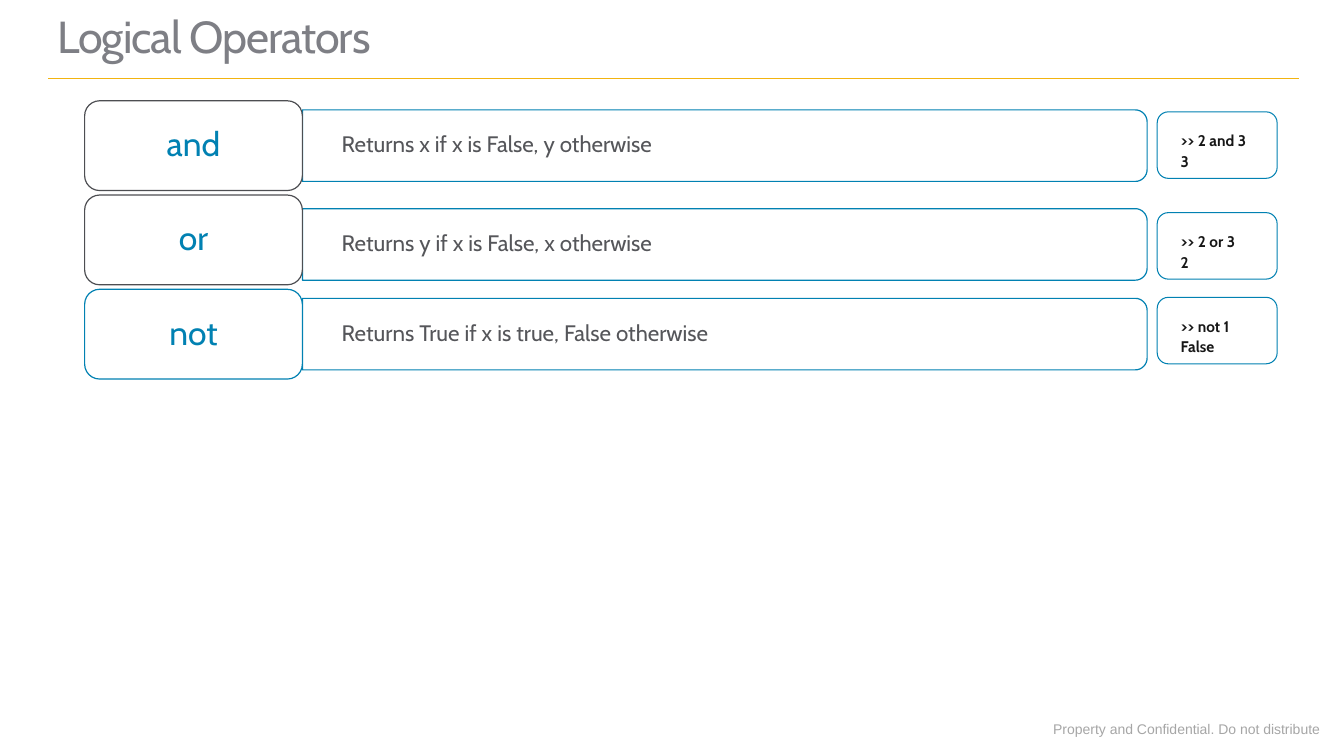
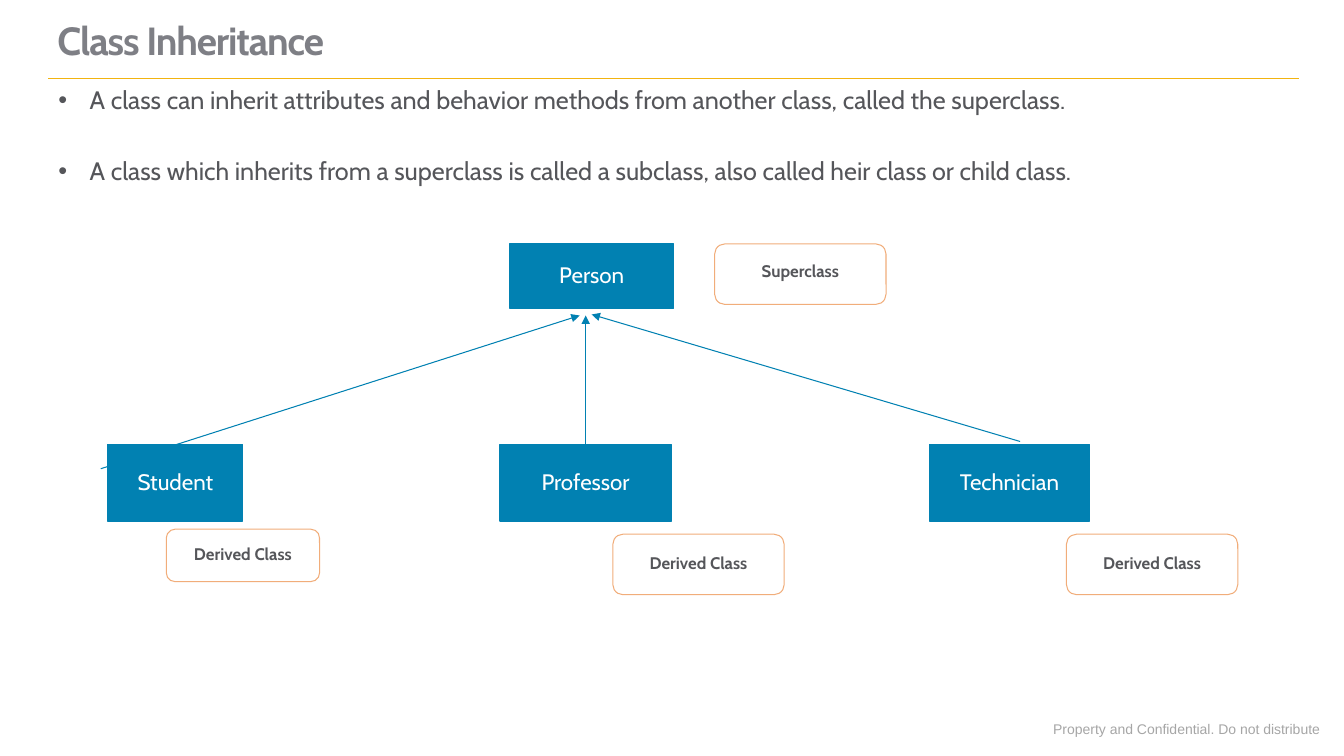
from dataclasses import dataclass
from math import cos, pi, sin

from lxml.etree import SubElement
from pptx import Presentation
from pptx.dml.color import RGBColor
from pptx.enum.shapes import MSO_CONNECTOR, MSO_SHAPE
from pptx.enum.text import MSO_ANCHOR, MSO_AUTO_SIZE, PP_ALIGN
from pptx.oxml.ns import qn
from pptx.util import Inches, Pt


@dataclass(frozen=True)
class Theme:
    """Colours, fonts and type sizes of the deck."""
    blue: str = "0181B2"
    gold: str = "F2B411"
    orange: str = "F1AD7A"
    white: str = "FFFFFF"
    dark: str = "4D4E52"
    ink: str = "171717"
    body: str = "55565A"
    heading: str = "7E7F85"
    faint: str = "A6A6A6"
    font: str = "Cabin"
    footer_font: str = "Arial"
    title_size: int = 32
    small_title_size: int = 28
    key_size: int = 24
    bullet_size: int = 18
    box_size: int = 16
    label_size: int = 12
    code_size: int = 11
    footer_size: int = 10
    thin: float = 0.75
    medium: float = 0.85


THEME = Theme()
COLUMNS, ROWS = 133.33, 75
FOOTER = "Property and Confidential. Do not distribute"


def cells(*counts):
    """Turn grid columns or rows, a tenth of an inch each, into lengths."""
    return [Inches(count / 10) for count in counts]


def colour(value):
    """Return the colour object of a hexadecimal value."""
    return RGBColor.from_string(value)


class Deck:
    """Hold the style and the current slide, and draw elements on it."""

    def __init__(self, theme):
        """Start an empty wide presentation."""
        self.theme = theme
        self.presentation = Presentation()
        width, height = cells(COLUMNS, ROWS)
        self.presentation.slide_width = width
        self.presentation.slide_height = height
        self.layout = self.presentation.slide_layouts[5]
        self.slide = None

    def add_slide(self, title, size, bold=False):
        """Add a titled slide, dressing the layout the first time."""
        first = self.slide is None
        self.slide = self.presentation.slides.add_slide(self.layout)
        if first:
            self.dress_layout()
        shape = self.slide.shapes.title
        shape.left, shape.top, shape.width, shape.height = cells(4.1, 0, 100, 7.3)
        self.frame(shape, (1.6, 1, 1.6, 1), MSO_ANCHOR.BOTTOM)
        run = self.add_text(shape, [title], size, self.theme.heading, bold)
        run.font._element.set("spc", "-80")

    def dress_layout(self):
        """Place the footer and the title rule on the shared layout."""
        footer = self.slide.shapes.add_textbox(*cells(103.5, 71, 28.7, 2.7))
        footer.text_frame.word_wrap = False
        footer.text_frame.auto_size = MSO_AUTO_SIZE.SHAPE_TO_FIT_TEXT
        self.add_text(footer, [FOOTER], self.theme.footer_size, self.theme.faint,
                      font=self.theme.footer_font, spacing=1)
        rule = self.line((4.8, 7.8), (128.9, 7.8), self.theme.gold)
        tree = self.layout.shapes.element
        for number, shape in enumerate((footer, rule), 101):
            shape.element.xpath(".//p:cNvPr")[0].set("id", str(number))
            tree.append(shape.element)

    def frame(self, shape, insets, anchor):
        """Set the margins and the anchor of a wrapping text frame."""
        text_frame = shape.text_frame
        text_frame.word_wrap = True
        text_frame.auto_size = MSO_AUTO_SIZE.NONE
        text_frame.vertical_anchor = anchor
        (text_frame.margin_left, text_frame.margin_top,
         text_frame.margin_right, text_frame.margin_bottom) = cells(*insets)

    def add_text(self, shape, lines, size, ink, bold=False, align=PP_ALIGN.LEFT,
                 font=None, spacing=0.9, after=0, bullet=False):
        """Add one paragraph per line and return the last run."""
        text_frame = shape.text_frame
        for index, line in enumerate(lines):
            paragraph = text_frame.add_paragraph() if index else text_frame.paragraphs[0]
            paragraph.alignment = align
            paragraph.line_spacing = spacing
            paragraph.space_before = Pt(0)
            paragraph.space_after = Pt(after)
            if bullet:
                properties = paragraph._p.get_or_add_pPr()
                properties.set("marL", str(Inches(0.31)))
                properties.set("indent", str(-Inches(0.31)))
                SubElement(properties, qn("a:buFont")).set("typeface", "Arial")
                SubElement(properties, qn("a:buChar")).set("char", "•")
            run = paragraph.add_run()
            run.text = line
            run.font.name = font or self.theme.font
            run.font.size = Pt(size)
            run.font.bold = bold
            run.font.color.rgb = colour(ink)
        return run

    def paint(self, shape, fill, outline, weight):
        """Set fill and outline and remove the shadow."""
        shape.shadow.inherit = False
        if fill:
            shape.fill.solid()
            shape.fill.fore_color.rgb = colour(fill)
        else:
            shape.fill.background()
        shape.line.color.rgb = colour(outline)
        shape.line.width = Pt(weight)

    def box(self, kind, area, fill, outline, weight):
        """Add a painted preset shape."""
        shape = self.slide.shapes.add_shape(kind, *cells(*area))
        self.paint(shape, fill, outline, weight)
        return shape

    def key(self, area, text, outline):
        """Add a large rounded keyword box."""
        shape = self.box(MSO_SHAPE.ROUNDED_RECTANGLE, area, self.theme.white,
                         outline, self.theme.medium)
        self.frame(shape, (2, 1.2, 2, 1.2), MSO_ANCHOR.MIDDLE)
        self.add_text(shape, [text], self.theme.key_size, self.theme.blue,
                      align=PP_ALIGN.CENTER)

    def description(self, area, text):
        """Add a panel with its two right corners rounded."""
        left, top, width, height = cells(*area)
        right, bottom, radius = left + width, top + height, height / 6
        corners = ((top + radius, -pi / 2), (bottom - radius, 0))
        arc = [(right - radius + radius * cos(start + step * pi / 16),
                centre + radius * sin(start + step * pi / 16))
               for centre, start in corners for step in range(9)]
        builder = self.slide.shapes.build_freeform(left, top)
        builder.add_line_segments(arc + [(left, bottom)], close=True)
        shape = builder.convert_to_shape()
        self.paint(shape, self.theme.white, self.theme.blue, self.theme.medium)
        self.frame(shape, (3.9, 0.6, 1, 0.6), MSO_ANCHOR.MIDDLE)
        self.add_text(shape, [text], self.theme.box_size, self.theme.body)

    def example(self, area, lines):
        """Add a rounded box with a short console session."""
        shape = self.box(MSO_SHAPE.ROUNDED_RECTANGLE, area, None,
                         self.theme.blue, self.theme.thin)
        self.frame(shape, (2, 1.8, 0, 0), MSO_ANCHOR.TOP)
        self.add_text(shape, lines, self.theme.code_size, self.theme.ink, True, after=3)

    def class_box(self, area, text):
        """Add a solid rectangle naming a class."""
        shape = self.box(MSO_SHAPE.RECTANGLE, area, self.theme.blue,
                         self.theme.blue, self.theme.medium)
        self.frame(shape, (0.3,) * 4, MSO_ANCHOR.MIDDLE)
        self.add_text(shape, [text], self.theme.box_size, self.theme.white,
                      align=PP_ALIGN.CENTER)
        return shape

    def label(self, area, text, anchor=MSO_ANCHOR.MIDDLE):
        """Add an outlined rounded label."""
        shape = self.box(MSO_SHAPE.ROUNDED_RECTANGLE, area, None,
                         self.theme.orange, self.theme.thin)
        self.frame(shape, (2, 1.6, 2, 1.6), anchor)
        self.add_text(shape, [text], self.theme.label_size, self.theme.body, True,
                      PP_ALIGN.CENTER)

    def bullets(self, area, lines):
        """Add a bulleted text box."""
        shape = self.slide.shapes.add_textbox(*cells(*area))
        self.frame(shape, (2, 1.6, 2, 1.6), MSO_ANCHOR.TOP)
        self.add_text(shape, lines, self.theme.bullet_size, self.theme.body,
                      after=31, bullet=True)

    def line(self, start, end, ink, arrow=False):
        """Add a straight connector, with an arrowhead at its end if asked."""
        connector = self.slide.shapes.add_connector(
            MSO_CONNECTOR.STRAIGHT, *cells(*start, *end))
        connector.line.color.rgb = colour(ink)
        connector.line.width = Pt(self.theme.thin)
        if arrow:
            outline = connector.line._get_or_add_ln()
            SubElement(outline, qn("a:tailEnd")).set("type", "triangle")
        SubElement(connector.element.spPr, qn("a:effectLst"))
        return connector


def add_operators(deck):
    """Build the slide on logical operators."""
    theme = deck.theme
    deck.add_slide("Logical Operators", theme.title_size)
    operators = [
        ("and", "Returns x if x is False, y otherwise", [">> 2 and 3", "3"],
         theme.dark, 10.9, 11.1),
        ("or", "Returns y if x is False, x otherwise", [">> 2 or 3", "2"],
         theme.dark, 20.7, 21.1),
        ("not", "Returns True if x is true, False otherwise", [">> not 1", "False"],
         theme.blue, 29.6, 29.5),
    ]
    for index, (name, meaning, session, outline, panel_top, example_top) in enumerate(operators):
        deck.description((30, panel_top, 83.8, 7.1), meaning)
        deck.key((8.4, 10 + 9.35 * index, 21.6, 8.9), name, outline)
        deck.example((114.8, example_top, 11.9, 6.6), session)


def add_inheritance(deck):
    """Build the slide on class inheritance."""
    deck.add_slide("Class Inheritance", deck.theme.small_title_size, bold=True)
    deck.bullets((3.8, 7.1, 124.7, 13.1), [
        "A class can inherit attributes and behavior methods from another class, "
        "called the superclass.",
        "A class which inherits from a superclass is called a subclass, "
        "also called heir class or child class.",
    ])
    deck.class_box((50.6, 24.2, 16.2, 6.4), "Person")
    children = {
        name: deck.class_box((left, 44.1, width, 7.6), name)
        for name, left, width in (("Student", 10.7, 13.4), ("Professor", 49.6, 17),
                                  ("Technician", 92.2, 15.9))
    }
    blue = deck.theme.blue
    deck.line((10, 46.5), (57.5, 31.3), blue, arrow=True)
    deck.line((101.2, 43.8), (58.7, 31.2), blue, arrow=True)
    middle = deck.line((58.1, 44.1), (58.1, 31.3), blue, arrow=True)
    middle.begin_connect(children["Professor"], 0)
    for area in ((16.5, 52.5, 15.2, 5.2), (60.8, 53, 17, 6), (105.8, 53, 17, 6)):
        deck.label(area, "Derived Class")
    deck.label((70.9, 24.2, 17, 6), "Superclass", MSO_ANCHOR.TOP)


def main():
    """Build and save the presentation."""
    deck = Deck(THEME)
    add_operators(deck)
    add_inheritance(deck)
    deck.presentation.save("out.pptx")


if __name__ == "__main__":
    main()
